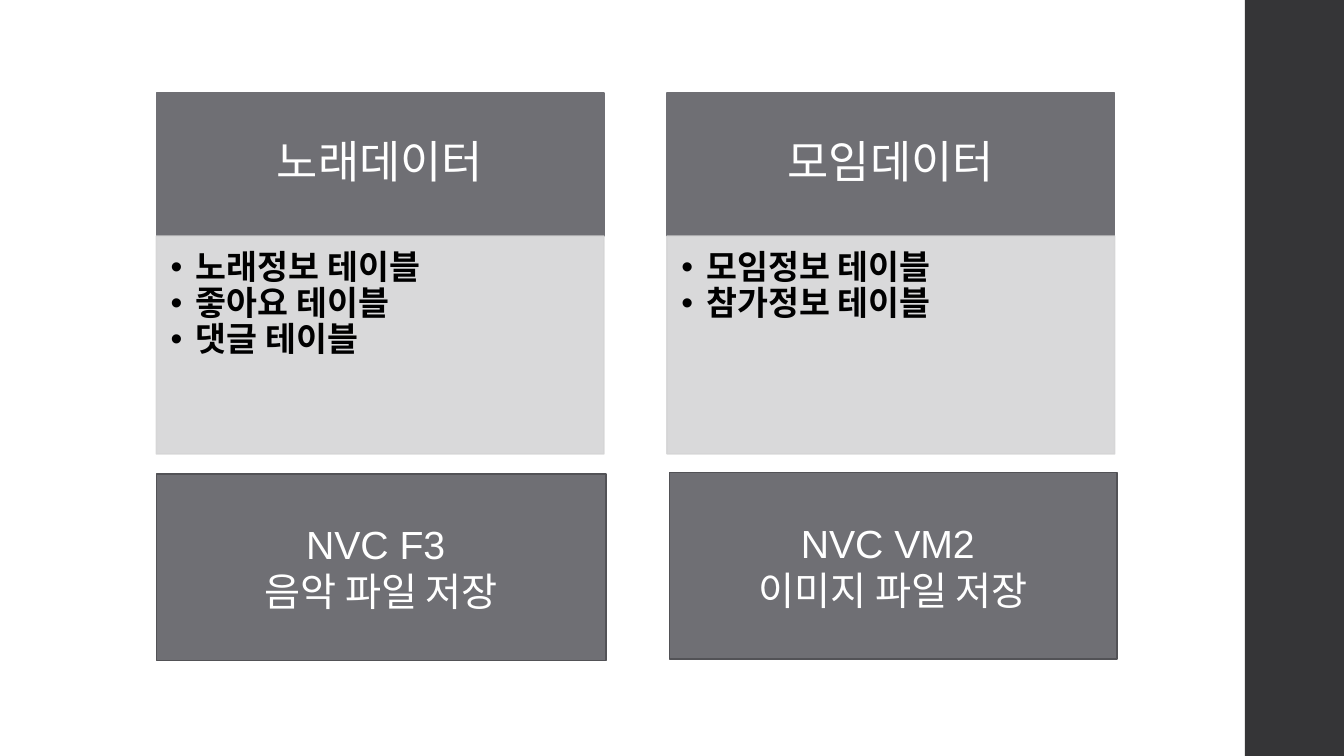
from dataclasses import dataclass

from lxml.etree import SubElement
from pptx import Presentation
from pptx.dml.color import RGBColor
from pptx.enum.shapes import MSO_SHAPE as Preset
from pptx.enum.text import MSO_ANCHOR as Anchor, PP_ALIGN as Align
from pptx.oxml.ns import qn
from pptx.shapes.autoshape import Shape
from pptx.slide import Slide
from pptx.util import Cm, Pt

SLIDE_WIDTH, SLIDE_HEIGHT = 33.87, 19.05
STRIPE_LEFT = 31.37
GRAY, EDGE, PALE, DARK = "6F6F74", "525256", "D5D5D6", "353537"
WHITE, BLACK = "FFFFFF", "000000"
HEADER_TOP, HEADER_HEIGHT = 2.34, 3.61
LIST_HEIGHT = 5.49
COLUMN_WIDTH = 11.28
STORAGE_HEIGHT = 4.7
HEADER_INSETS = (0.64, 0.36, 0.64, 0.36)
LIST_INSETS = (0.36, 0.36, 0.48, 0.53)
STORAGE_INSETS = (0.25, 0.13, 0.25, 0.13)


@dataclass
class Box:
    left: float
    top: float
    width: float
    height: float


@dataclass
class TextStyle:
    size: float
    color: str
    insets: tuple[float, float, float, float]
    bold: bool = False
    bulleted: bool = False
    line_spacing: float = 0.9


@dataclass
class DataColumn:
    left: float
    title: str
    tables: list[str]
    storage: list[str]
    storage_box: Box


HEADER_STYLE = TextStyle(32, WHITE, HEADER_INSETS)
LIST_STYLE = TextStyle(24, BLACK, LIST_INSETS, bold=True, bulleted=True)
STORAGE_STYLE = TextStyle(28, WHITE, STORAGE_INSETS, line_spacing=1.0)

COLUMNS = [
    DataColumn(3.94, "노래데이터",
               ["노래정보 테이블", "좋아요 테이블", "댓글 테이블"],
               ["NVC F3 ", "음악 파일 저장"],
               Box(3.94, 11.94, 11.33, STORAGE_HEIGHT)),
    DataColumn(16.81, "모임데이터",
               ["모임정보 테이블", "참가정보 테이블"],
               ["NVC VM2 ", "이미지 파일 저장"],
               Box(16.87, 11.91, COLUMN_WIDTH, STORAGE_HEIGHT)),
]


def rgb(color: str) -> RGBColor:
    return RGBColor.from_string(color)


def add_panel(slide: Slide, box: Box, fill: str, line: str | None = None,
              opacity: int = 100) -> Shape:
    panel = slide.shapes.add_shape(Preset.RECTANGLE, Cm(box.left), Cm(box.top),
                                   Cm(box.width), Cm(box.height))
    panel.shadow.inherit = False
    panel.fill.solid()
    panel.fill.fore_color.rgb = rgb(fill)
    if line:
        panel.line.color.rgb = rgb(line)
        panel.line.width = Pt(1.1)
    else:
        panel.line.fill.background()
    if opacity < 100:
        for color in panel._element.spPr.iter(qn("a:srgbClr")):
            SubElement(color, qn("a:alpha"), val=str(opacity * 1000))
    return panel


def write_lines(panel: Shape, lines: list[str], style: TextStyle) -> None:
    frame = panel.text_frame
    frame.word_wrap = True
    frame.vertical_anchor = Anchor.TOP if style.bulleted else Anchor.MIDDLE
    (frame.margin_left, frame.margin_top,
     frame.margin_right, frame.margin_bottom) = map(Cm, style.insets)
    frame.text = "\n".join(lines)
    for paragraph in frame.paragraphs:
        paragraph.alignment = Align.LEFT if style.bulleted else Align.CENTER
        paragraph.line_spacing = style.line_spacing
        if style.bulleted:
            properties = paragraph._p.get_or_add_pPr()
            properties.set("marL", str(Cm(0.64)))
            properties.set("indent", str(-Cm(0.64)))
            SubElement(properties, qn("a:buFont"), typeface="Arial")
            SubElement(properties, qn("a:buChar"), char="•")
        for run in paragraph.runs:
            run.font.name = "Arial"
            run.font.size = Pt(style.size)
            run.font.bold = style.bold
            run.font.color.rgb = rgb(style.color)


def add_column(slide: Slide, column: DataColumn) -> None:
    # Header
    header_box = Box(column.left, HEADER_TOP, COLUMN_WIDTH, HEADER_HEIGHT)
    header = add_panel(slide, header_box, GRAY, GRAY)
    write_lines(header, [column.title], HEADER_STYLE)
    # Table list
    list_box = Box(column.left, HEADER_TOP + HEADER_HEIGHT, COLUMN_WIDTH, LIST_HEIGHT)
    table_list = add_panel(slide, list_box, PALE, PALE, opacity=90)
    write_lines(table_list, column.tables, LIST_STYLE)
    # File storage
    storage = add_panel(slide, column.storage_box, GRAY, EDGE)
    write_lines(storage, column.storage, STORAGE_STYLE)


def main() -> None:
    deck = Presentation()
    deck.slide_width, deck.slide_height = Cm(SLIDE_WIDTH), Cm(SLIDE_HEIGHT)
    slide = deck.slides.add_slide(deck.slide_layouts[6])
    # Side stripe
    add_panel(slide, Box(STRIPE_LEFT, 0, SLIDE_WIDTH - STRIPE_LEFT, SLIDE_HEIGHT), DARK)
    # Data columns
    for column in COLUMNS:
        add_column(slide, column)
    deck.save("out.pptx")


if __name__ == "__main__":
    main()
